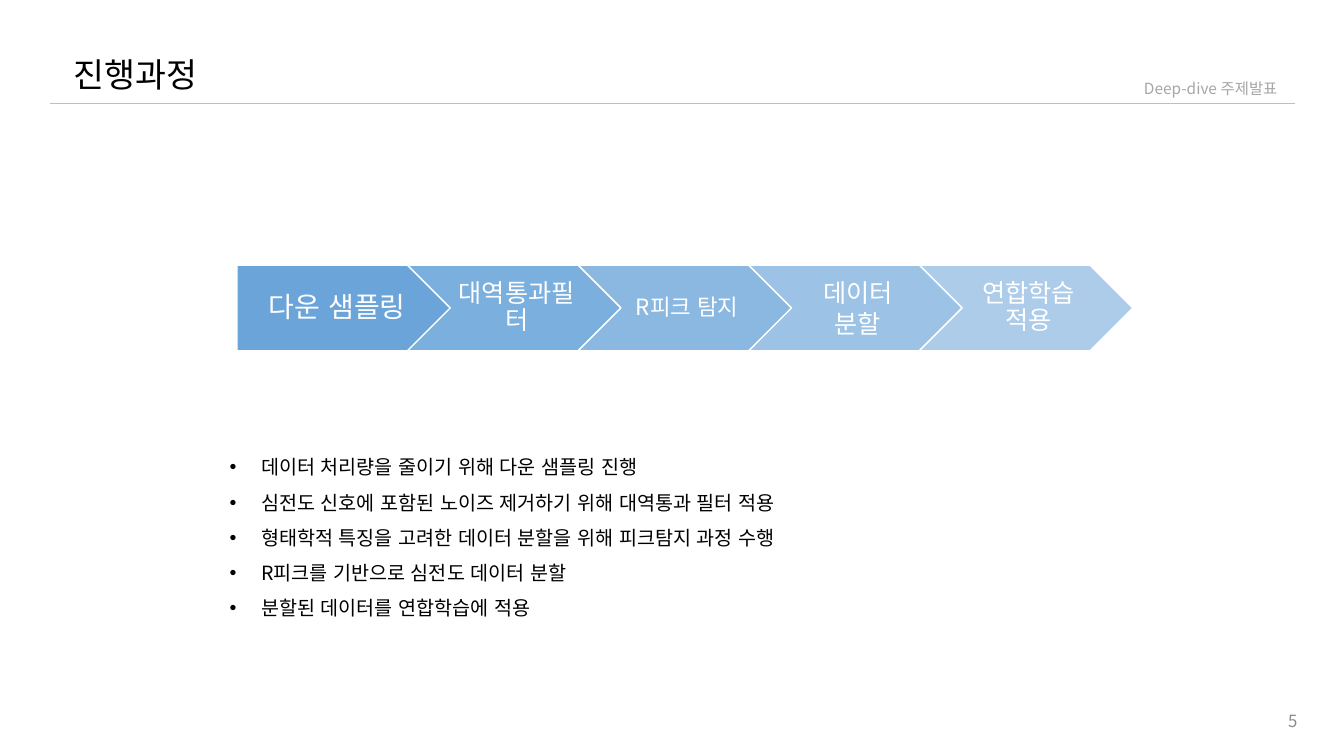
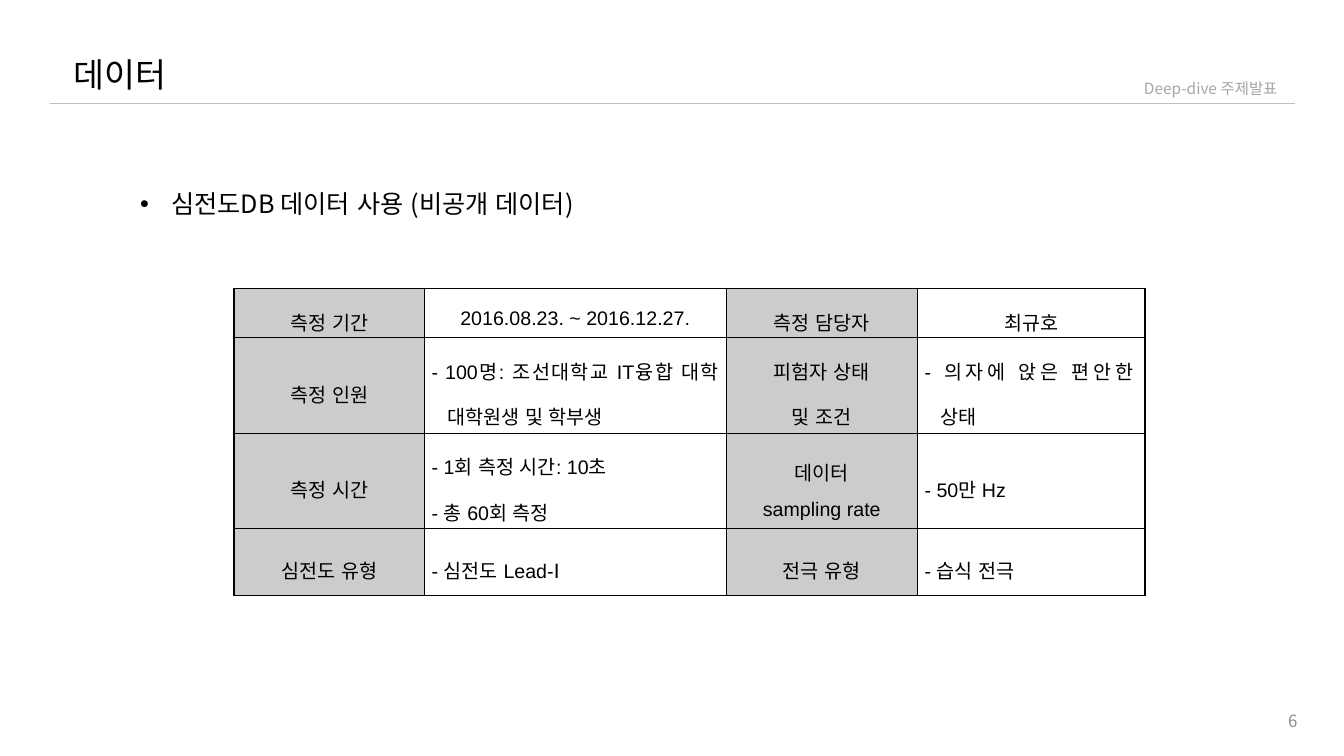
from lxml.etree import SubElement
from pptx import Presentation
from pptx.dml.color import RGBColor
from pptx.enum.lang import MSO_LANGUAGE_ID
from pptx.enum.shapes import MSO_CONNECTOR, MSO_SHAPE
from pptx.enum.text import MSO_ANCHOR, PP_ALIGN
from pptx.oxml import parse_xml
from pptx.oxml.ns import nsdecls, qn
from pptx.util import Cm, Pt

FONT = "Noto Sans CJK KR"
TABLE_FONT = "Arial"
BLACK, WHITE = "000000", "FFFFFF"
BLUE, HEADER_FILL = "5B9BD5", "CCCCCC"
RULE_COLOR, TAG_COLOR, NUMBER_COLOR = "BFBFBF", "A6A6A6", "8C8C8C"
THIN, THICK = 0.28, 1.7

STEPS = [
    ("다운 샘플링", 20, 0.9),
    ("대역통과필터", 18, 0.9),
    ("R피크 탐지", 16, 0.9),
    ("데이터\n분할", 18, 1.0),
    ("연합학습 적용", 18, 0.9),
]
NOTES = [
    "데이터 처리량을 줄이기 위해 다운 샘플링 진행",
    "심전도 신호에 포함된 노이즈 제거하기 위해 대역통과 필터 적용",
    "형태학적 특징을 고려한 데이터 분할을 위해 피크탐지 과정 수행",
    "R피크를 기반으로 심전도 데이터 분할",
    "분할된 데이터를 연합학습에 적용",
]
ROWS = [
    ["측정 기간", "2016.08.23. ~ 2016.12.27.", "측정 담당자", "최규호"],
    ["측정 인원", "- 100명: 조선대학교 IT융합 대학 대학원생 및 학부생",
     "피험자 상태\n및 조건", "- 의자에 앉은 편안한 상태"],
    ["측정 시간", "- 1회 측정 시간: 10초\n- 총 60회 측정",
     "데이터\nsampling rate", "- 50만 Hz"],
    ["심전도 유형", "- 심전도 Lead-Ⅰ", "전극 유형", "- 습식 전극"],
]
COLUMN_WIDTHS = [4.8, 7.6, 4.82, 5.74]
ROW_HEIGHTS = [1.23, 2.42, 2.4, 1.69]


def color(hex_string):
    return RGBColor.from_string(hex_string)


def format_text(text_frame, size, hex_string, align=PP_ALIGN.LEFT, spacing=1.0, font=FONT):
    for paragraph in text_frame.paragraphs:
        paragraph.alignment = align
        paragraph.line_spacing = spacing
        for run in paragraph.runs:
            run.font.size = Pt(size)
            run.font.color.rgb = color(hex_string)
            run.font.name = font
            run.font.language_id = MSO_LANGUAGE_ID.KOREAN
            SubElement(run.font._element, qn("a:ea")).set("typeface", FONT)


def hang(paragraph, indent, bullet=None):
    properties = paragraph._p.get_or_add_pPr()
    properties.set("marL", str(Cm(indent)))
    properties.set("indent", str(-Cm(indent)))
    if bullet:
        SubElement(properties, qn("a:buFont")).set("typeface", "Arial")
        SubElement(properties, qn("a:buChar")).set("char", bullet)


def set_margins(target, left, top, right, bottom):
    target.margin_left, target.margin_top = Cm(left), Cm(top)
    target.margin_right, target.margin_bottom = Cm(right), Cm(bottom)


def add_text(slide, box, text, size, hex_string=BLACK, align=PP_ALIGN.LEFT,
             spacing=1.0, anchor=MSO_ANCHOR.TOP):
    text_frame = slide.shapes.add_textbox(*map(Cm, box)).text_frame
    text_frame.word_wrap = True
    text_frame.vertical_anchor = anchor
    text_frame.text = text
    format_text(text_frame, size, hex_string, align, spacing)
    return text_frame


def add_bullets(slide, box, lines, size, spacing=1.0):
    text_frame = add_text(slide, box, "\n".join(lines), size, spacing=spacing)
    for paragraph in text_frame.paragraphs:
        hang(paragraph, 0.79, "•")


def add_base_slide(presentation, title, number):
    slide = presentation.slides.add_slide(presentation.slide_layouts[6])
    add_text(slide, (1.6, 1.24, 12, 1.28), title, 24)
    rule = slide.shapes.add_connector(
        MSO_CONNECTOR.STRAIGHT, Cm(1.25), Cm(2.6), Cm(32.63), Cm(2.6))
    rule.line.color.rgb = color(RULE_COLOR)
    rule.line.width = Pt(0.5)
    SubElement(rule._element.spPr, qn("a:effectLst"))
    add_text(slide, (28.58, 1.88, 4.4, 0.74), "Deep-dive 주제발표", 11, TAG_COLOR)
    add_text(slide, (25.33, 17.65, 7.62, 1.01), str(number), 12, NUMBER_COLOR,
             PP_ALIGN.RIGHT, anchor=MSO_ANCHOR.MIDDLE)
    return slide


def add_process(slide, box):
    left, top, width, height = box
    overlap = height / 2
    step_width = (width + overlap * (len(STEPS) - 1)) / len(STEPS)
    for index, (label, size, spacing) in enumerate(STEPS):
        first = index == 0
        arrow = slide.shapes.add_shape(
            MSO_SHAPE.PENTAGON if first else MSO_SHAPE.CHEVRON,
            Cm(left + index * (step_width - overlap)), Cm(top), Cm(step_width), Cm(height))
        arrow.shadow.inherit = False
        arrow.fill.solid()
        arrow.fill.fore_color.rgb = color(BLUE)
        fill_color = arrow._element.spPr.find(qn("a:solidFill"))[0]
        SubElement(fill_color, qn("a:alpha")).set("val", str(90000 - 10000 * index))
        arrow.line.color.rgb = color(WHITE)
        arrow.line.width = Pt(1)
        text_frame = arrow.text_frame
        text_frame.word_wrap = True
        text_frame.vertical_anchor = MSO_ANCHOR.MIDDLE
        set_margins(text_frame, 0.3 if first else 0.2, 0.13, 0.08, 0.13)
        text_frame.text = label
        format_text(text_frame, size, WHITE, PP_ALIGN.CENTER, spacing)


def set_borders(cell, widths):
    properties = cell._tc.get_or_add_tcPr()
    for index, (side, width) in enumerate(zip("LRTB", widths)):
        properties.insert(index, parse_xml(
            f'<a:ln{side} {nsdecls("a")} w="{Pt(width)}"><a:solidFill>'
            f'<a:srgbClr val="{BLACK}"/></a:solidFill></a:ln{side}>'))


def add_data_table(slide, left, top):
    table = slide.shapes.add_table(
        len(ROWS), len(COLUMN_WIDTHS), Cm(left), Cm(top),
        Cm(sum(COLUMN_WIDTHS)), Cm(sum(ROW_HEIGHTS))).table
    table.first_row = table.horz_banding = False
    for column, width in zip(table.columns, COLUMN_WIDTHS):
        column.width = Cm(width)
    for row, height in zip(table.rows, ROW_HEIGHTS):
        row.height = Cm(height)
    last = len(COLUMN_WIDTHS) - 1
    for row_index, texts in enumerate(ROWS):
        for column_index, text in enumerate(texts):
            cell = table.cell(row_index, column_index)
            cell.text = text
            cell.vertical_anchor = MSO_ANCHOR.MIDDLE
            is_item = text.startswith("- ")
            right_margin = 0.3 if is_item and column_index == last else 0.18
            set_margins(cell, 0.18, 0.05, right_margin, 0.05)
            align = PP_ALIGN.JUSTIFY if is_item else PP_ALIGN.CENTER
            format_text(cell.text_frame, 14, BLACK, align, 1.6, TABLE_FONT)
            if is_item:
                for paragraph in cell.text_frame.paragraphs:
                    hang(paragraph, 0.4)
            if column_index % 2 == 0:
                cell.fill.solid()
                cell.fill.fore_color.rgb = color(HEADER_FILL)
            else:
                cell.fill.background()
            set_borders(cell, (THICK if column_index == 0 else THIN,
                               THICK if column_index == last else THIN, THIN, THIN))


def add_process_slide(presentation):
    slide = add_base_slide(presentation, "진행과정", 5)
    add_process(slide, (5.97, 6.68, 22.58, 2.16))
    add_bullets(slide, (5.54, 11.05, 17, 4.62), NOTES, 14, 1.5)


def add_data_slide(presentation):
    slide = add_base_slide(presentation, "데이터", 6)
    add_data_table(slide, 5.9, 7.26)
    add_bullets(slide, (3.28, 4.62, 13.69, 1.02), ["심전도DB 데이터 사용 (비공개 데이터)"], 18)


def main():
    presentation = Presentation()
    presentation.slide_width, presentation.slide_height = Cm(33.87), Cm(19.05)
    add_process_slide(presentation)
    add_data_slide(presentation)
    presentation.save("out.pptx")


if __name__ == "__main__":
    main()
